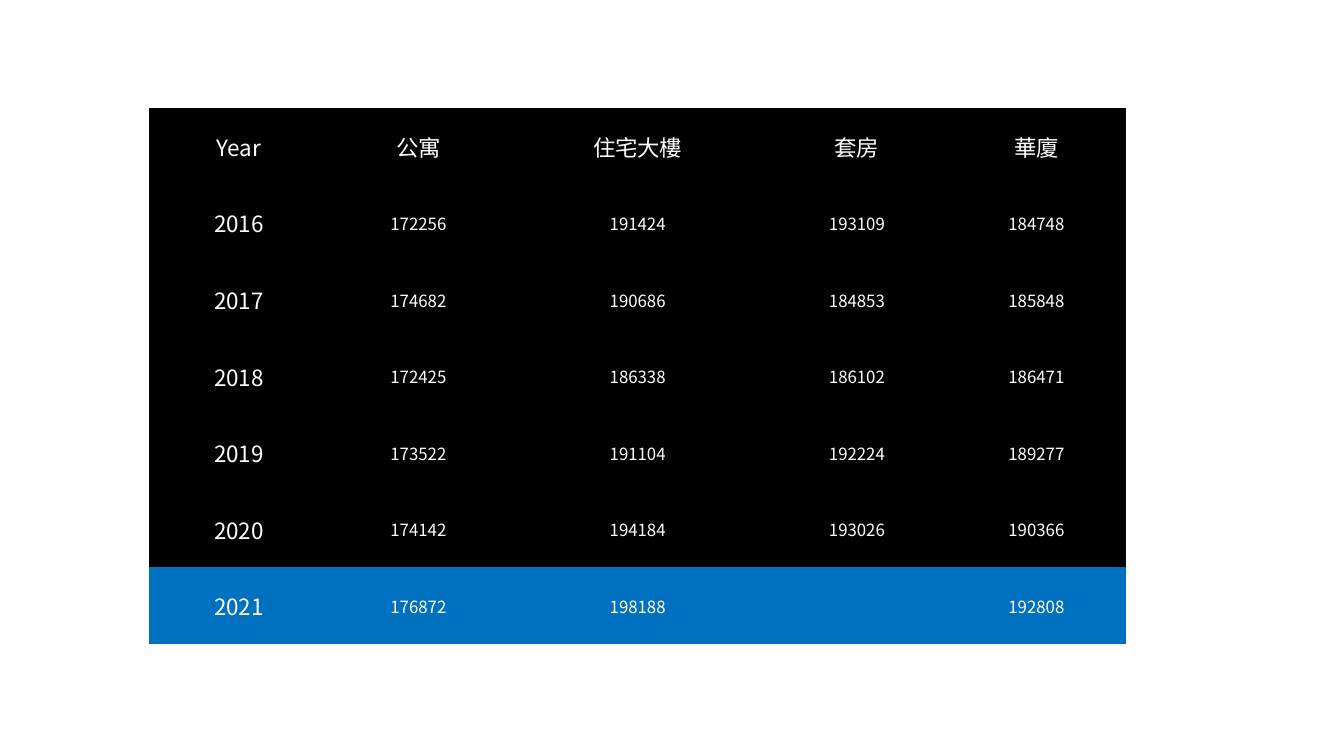
from dataclasses import dataclass

import lxml.etree
import pptx
import pptx.dml.color
import pptx.enum.text
import pptx.oxml.ns
import pptx.table
import pptx.util

FONT = "Noto Sans CJK TC"
WHITE = "FFFFFF"
BLACK = "000000"
BLUE = "0070C0"
LEFT, TOP = 1.48, 1.07
COLUMN_WIDTHS = [1.78, 1.78, 2.57, 1.78, 1.78]
ROW_HEIGHT = 0.76
LABEL_SIZE, VALUE_SIZE = 16, 12


@dataclass
class PriceRow:
    label: str
    values: list[str]
    value_size: int = VALUE_SIZE
    fill: str = BLACK


PRICE_ROWS = [
    PriceRow("Year", ["公寓", "住宅大樓", "套房", "華廈"], value_size=LABEL_SIZE),
    PriceRow("2016", ["172256", "191424", "193109", "184748"]),
    PriceRow("2017", ["174682", "190686", "184853", "185848"]),
    PriceRow("2018", ["172425", "186338", "186102", "186471"]),
    PriceRow("2019", ["173522", "191104", "192224", "189277"]),
    PriceRow("2020", ["174142", "194184", "193026", "190366"]),
    PriceRow("2021", ["176872", "198188", "", "192808"], fill=BLUE),
]


def color(value: str) -> pptx.dml.color.RGBColor:
    return pptx.dml.color.RGBColor.from_string(value)


def remove_borders(cell: pptx.table._Cell) -> None:
    properties = cell._tc.get_or_add_tcPr()
    for side in ("a:lnL", "a:lnR", "a:lnT", "a:lnB"):
        border = lxml.etree.SubElement(properties, pptx.oxml.ns.qn(side), w="0")
        lxml.etree.SubElement(border, pptx.oxml.ns.qn("a:noFill"))


def add_text(cell: pptx.table._Cell, text: str, size: int) -> None:
    paragraph = cell.text_frame.paragraphs[0]
    paragraph.alignment = pptx.enum.text.PP_ALIGN.CENTER
    run = paragraph.add_run()
    run.text = text
    run.font.size = pptx.util.Pt(size)
    run.font.bold = False
    run.font.color.rgb = color(WHITE)
    run.font.name = FONT
    run_properties = run._r.get_or_add_rPr()
    lxml.etree.SubElement(run_properties, pptx.oxml.ns.qn("a:ea"), typeface=FONT)


def draw_cell(cell: pptx.table._Cell, text: str, size: int, fill: str) -> None:
    remove_borders(cell)
    cell.fill.solid()
    cell.fill.fore_color.rgb = color(fill)
    cell.vertical_anchor = pptx.enum.text.MSO_ANCHOR.MIDDLE
    cell.margin_left = cell.margin_right = cell.margin_top = pptx.util.Inches(0.01)
    cell.margin_bottom = pptx.util.Inches(0)
    if text:
        add_text(cell, text, size)


def draw_row(table: pptx.table.Table, index: int, row: PriceRow) -> None:
    table.rows[index].height = pptx.util.Inches(ROW_HEIGHT)
    draw_cell(table.cell(index, 0), row.label, LABEL_SIZE, row.fill)
    for column, value in enumerate(row.values, start=1):
        draw_cell(table.cell(index, column), value, row.value_size, row.fill)


def main() -> None:
    presentation = pptx.Presentation()
    presentation.slide_width = pptx.util.Inches(13.33)
    presentation.slide_height = pptx.util.Inches(7.5)
    slide = presentation.slides.add_slide(presentation.slide_layouts[6])
    table = slide.shapes.add_table(
        len(PRICE_ROWS),
        len(COLUMN_WIDTHS),
        pptx.util.Inches(LEFT),
        pptx.util.Inches(TOP),
        pptx.util.Inches(sum(COLUMN_WIDTHS)),
        pptx.util.Inches(ROW_HEIGHT * len(PRICE_ROWS)),
    ).table
    table.first_row = False
    table.horz_banding = False
    for column, width in zip(table.columns, COLUMN_WIDTHS):
        column.width = pptx.util.Inches(width)
    for index, row in enumerate(PRICE_ROWS):
        draw_row(table, index, row)
    presentation.save("out.pptx")


if __name__ == "__main__":
    main()
